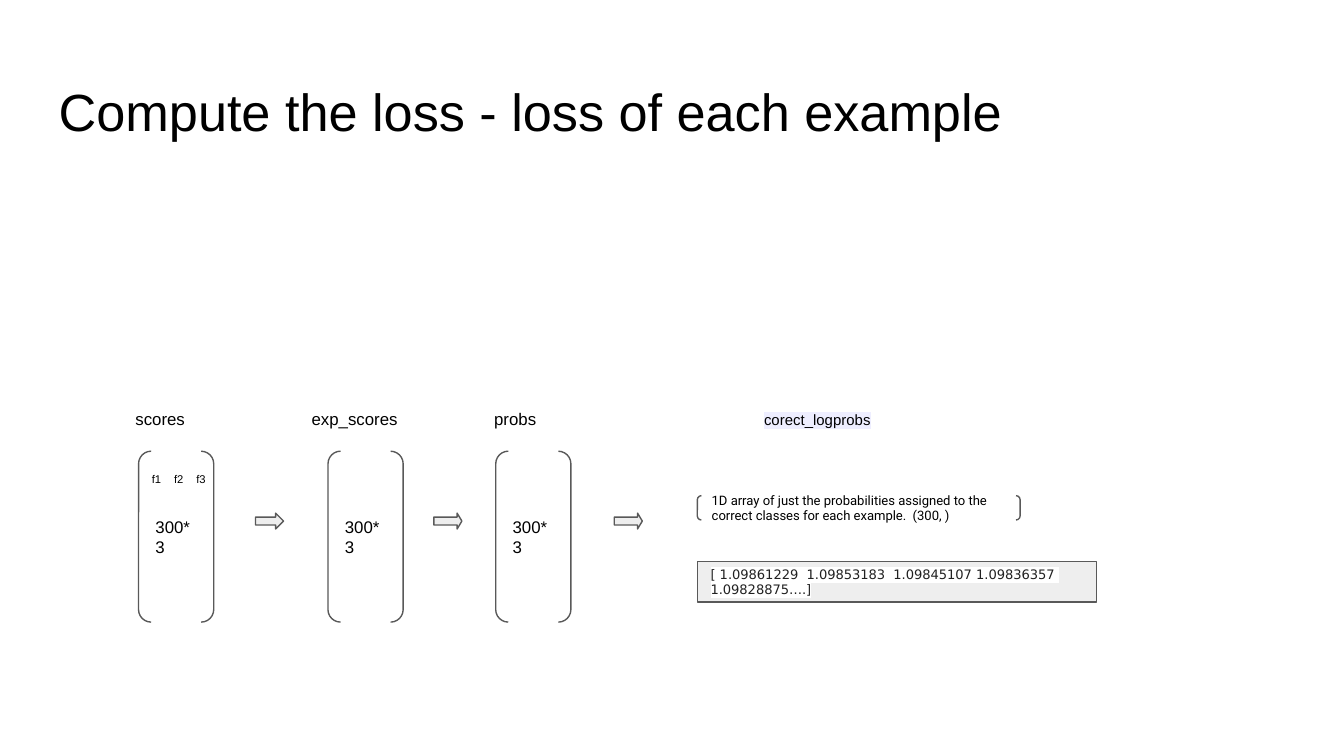
from dataclasses import dataclass

from lxml import etree
from pptx import Presentation
from pptx import util as u
from pptx.dml.color import RGBColor
from pptx.enum import shapes, text
from pptx.oxml.ns import qn

BLACK = RGBColor(0x00, 0x00, 0x00)
INK = RGBColor(0x21, 0x21, 0x21)
OUTLINE = RGBColor(0x59, 0x59, 0x59)
GREY = RGBColor(0xEE, 0xEE, 0xEE)
WHITE = RGBColor(0xFF, 0xFF, 0xFF)
LAVENDER = RGBColor(0xEE, 0xEE, 0xFF)

LABEL_TOP, LABEL_HEIGHT = 7.47, 0.76
ARRAY_LEFT = 13.18


@dataclass
class Box:
    """Position and size in centimetres."""
    left: float
    top: float
    width: float
    height: float

    def lengths(self) -> list:
        return [u.Cm(n) for n in (self.left, self.top, self.width, self.height)]


@dataclass
class Style:
    size: float
    font: str = "Arial"
    color: RGBColor = BLACK
    highlight: RGBColor | None = None


@dataclass
class Matrix:
    """A 300*3 matrix, its label and the arrow that follows it."""
    name: str
    left: float
    label_left: float
    label_width: float
    arrow_left: float
    arrow_head: float


MATRICES = [
    Matrix("scores", 2.62, 2.31, 1.75, 4.83, 0.5),
    Matrix("exp_scores", 6.2, 5.64, 2.49, 8.2, 0.3),
    Matrix("probs", 9.37, 9.09, 1.75, 11.61, 0.3),
]


def write(shape, words: str, style: Style, anchor=text.MSO_ANCHOR.TOP):
    """Fill a shape with one left-aligned paragraph and return it."""
    frame = shape.text_frame
    frame.text = words
    frame.word_wrap = True
    frame.auto_size = text.MSO_AUTO_SIZE.NONE
    frame.vertical_anchor = anchor
    frame.margin_left = frame.margin_right = u.Cm(0.25)
    frame.margin_top = frame.margin_bottom = u.Cm(0.25)
    para = frame.paragraphs[0]
    para.alignment = text.PP_ALIGN.LEFT
    span = para.runs[0]
    span.font.size = u.Pt(style.size)
    span.font.name = style.font
    span.font.color.rgb = style.color
    if style.highlight is not None:
        mark = etree.Element(qn("a:highlight"))
        etree.SubElement(mark, qn("a:srgbClr"), val=str(style.highlight))
        span.font._element.find(qn("a:solidFill")).addnext(mark)
    return para


def add_label(page, box: Box, words: str, style: Style):
    return write(page.shapes.add_textbox(*box.lengths()), words, style)


def add_outlined(page, kind, box: Box, fill: RGBColor | None = None):
    shape = page.shapes.add_shape(kind, *box.lengths())
    shape.shadow.inherit = False
    if fill is None:
        shape.fill.background()
    else:
        shape.fill.solid()
        shape.fill.fore_color.rgb = fill
    shape.line.color.rgb = OUTLINE
    shape.line.width = u.Pt(0.75)
    return shape


def add_matrix(page, matrix: Matrix) -> None:
    bracket = add_outlined(page, shapes.MSO_SHAPE.DOUBLE_BRACKET,
                           Box(matrix.left, 8.53, 1.42, 3.23))
    write(bracket, "300*3", Style(9), text.MSO_ANCHOR.MIDDLE)
    add_label(page, Box(matrix.label_left, LABEL_TOP, matrix.label_width, LABEL_HEIGHT),
              matrix.name, Style(9))
    arrow = add_outlined(page, shapes.MSO_SHAPE.RIGHT_ARROW,
                         Box(matrix.arrow_left, 9.7, 0.53, 0.3), GREY)
    arrow.adjustments[1] = matrix.arrow_head


def main() -> None:
    deck = Presentation()
    deck.slide_width, deck.slide_height = u.Cm(25.4), u.Cm(14.29)
    page = deck.slides.add_slide(deck.slide_layouts[5])

    # Title
    title = page.shapes.title
    title.left, title.top, title.width, title.height = Box(0.86, 1.24, 23.67, 1.6).lengths()
    write(title, "Compute the loss - loss of each example", Style(28))

    # Chain of matrices
    for matrix in MATRICES:
        add_matrix(page, matrix)

    # Column names of the first matrix
    for column in range(3):
        add_label(page, Box(MATRICES[0].left + 0.42 * column, 8.69, 0.81, 0.46),
                  f"f{column + 1}", Style(6))

    # Resulting array of log probabilities
    para = add_label(page, Box(13.89, LABEL_TOP, 3.78, LABEL_HEIGHT), "corect_logprobs",
                     Style(8, highlight=LAVENDER))
    para.line_spacing = 1.15
    para._p.get_or_add_pPr().set("marL", str(u.Cm(0.3)))

    array = add_outlined(page, shapes.MSO_SHAPE.DOUBLE_BRACKET, Box(ARRAY_LEFT, 9.37, 6.1, 0.46))
    write(array, "1D array of just the probabilities assigned to the correct classes "
          "for each example.  (300, )", Style(7, "Roboto", BLACK, WHITE), text.MSO_ANCHOR.MIDDLE)

    values = add_outlined(page, shapes.MSO_SHAPE.RECTANGLE,
                          Box(ARRAY_LEFT, 10.62, 7.54, 0.76), GREY)
    write(values, "[ 1.09861229  1.09853183  1.09845107 1.09836357  1.09828875….]",
          Style(7, "DejaVu Sans", INK, WHITE), text.MSO_ANCHOR.MIDDLE)

    deck.save("out.pptx")


if __name__ == "__main__":
    main()
